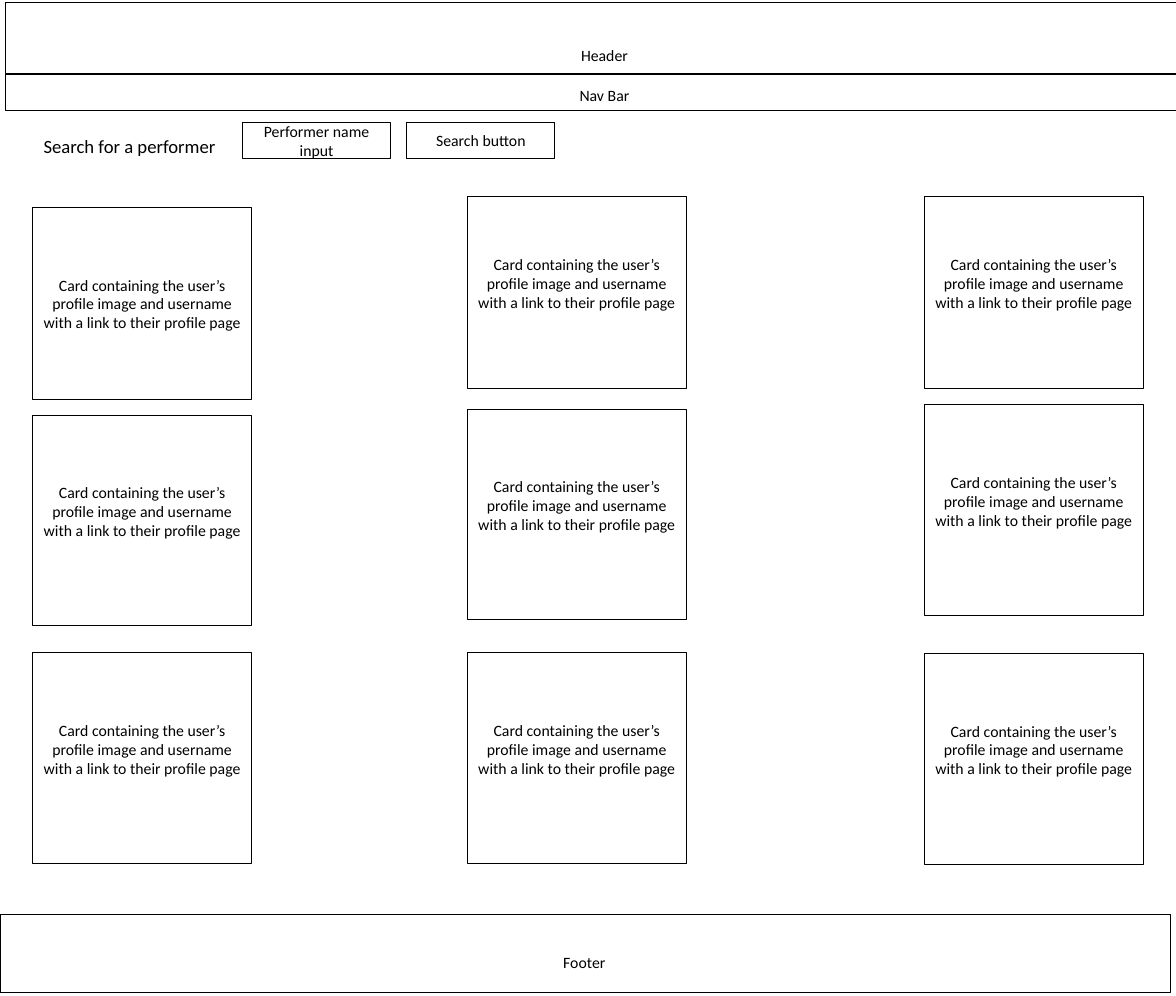
from pptx import Presentation
from pptx import util as u
from pptx.dml.color import RGBColor
from pptx.enum import shapes, text

BLACK = RGBColor(0, 0, 0)
FONT = "Calibri"
BODY_SIZE = 15.2
LINE_HEIGHT = 0.25  # one body line, in inches

# Page of 40 cm by 960 pt
prs = Presentation()
prs.slide_width, prs.slide_height = u.Cm(40), u.Pt(960)
slide = prs.slides.add_slide(prs.slide_layouts[5])


def write(target, wording, size=BODY_SIZE, anchor=text.MSO_ANCHOR.TOP, wrap=True):
    frame = target.text_frame
    frame.text = wording
    frame.word_wrap = wrap
    frame.auto_size = text.MSO_AUTO_SIZE.NONE
    frame.vertical_anchor = anchor
    paragraph = frame.paragraphs[0]
    paragraph.alignment = text.PP_ALIGN.CENTER
    font = paragraph.runs[0].font
    font.name, font.size, font.color.rgb = FONT, u.Pt(size), BLACK
    return frame


def outline_box(left, top, width, height):
    box = slide.shapes.add_shape(shapes.MSO_SHAPE.RECTANGLE, u.Inches(left),
                                 u.Inches(top), u.Inches(width), u.Inches(height))
    box.shadow.inherit = False
    box.fill.background()
    box.line.color.rgb = BLACK
    box.line.width = u.Pt(1)
    return box


# Page bars: label, bar left, bar top, bar height, label left, label top
BAR_W, LABEL_W, LABEL_H = 15.68, 4.97, 0.36
for label, left, top, height, label_left, label_top in (
        ("Header", 0.07, 0.04, 0.94, 5.61, 0.57),
        ("Nav Bar", 0.07, 1, 0.48, 5.61, 1.1),
        ("Footer", 0, 12.24, 1.05, 5.34, 12.71)):
    outline_box(left, top, BAR_W, height)
    caption = slide.shapes.add_textbox(u.Inches(label_left), u.Inches(label_top),
                                       u.Inches(LABEL_W), u.Inches(LABEL_H))
    write(caption, label)

# Performer cards: three columns, each with its own row tops
CARD_TEXT = ("Card containing the user’s profile image and username "
             "with a link to their profile page")
CARD_W = 2.93
ROW_HEIGHTS = (2.57, 2.82, 2.82)
CARD_COLUMNS = {0.44: (2.78, 5.56, 8.74),
                6.26: (2.63, 5.48, 8.74),
                12.38: (2.63, 5.42, 8.75)}
for column, (left, tops) in enumerate(CARD_COLUMNS.items()):
    for row, (top, height) in enumerate(zip(tops, ROW_HEIGHTS)):
        card = outline_box(left, top, CARD_W, height)
        frame = write(card, CARD_TEXT, anchor=text.MSO_ANCHOR.MIDDLE)
        # Every card but the first holds its text half a line above the middle
        lift = LINE_HEIGHT if (column, row) != (0, 0) else 0
        frame.margin_bottom = u.Inches(0.04 + lift)
        frame.margin_top = u.Inches(0.04)

# Search row: title, input and button
search_title = slide.shapes.title
search_title.left, search_title.top = u.Inches(0.47), u.Inches(1.76)
search_title.width, search_title.height = u.Inches(2.53), u.Inches(0.4)
write(search_title, "Search for a performer", size=18, wrap=False)

FIELD_W, FIELD_PITCH = 1.98, 2.2
for position, label in enumerate(("Performer name input", "Search button")):
    field = outline_box(3.25 + position * FIELD_PITCH, 1.64, FIELD_W, 0.48)
    frame = write(field, label, anchor=text.MSO_ANCHOR.MIDDLE)
    frame.margin_left = frame.margin_right = u.Inches(0.08)
    frame.margin_top = frame.margin_bottom = u.Inches(0.04)

prs.save("out.pptx")
